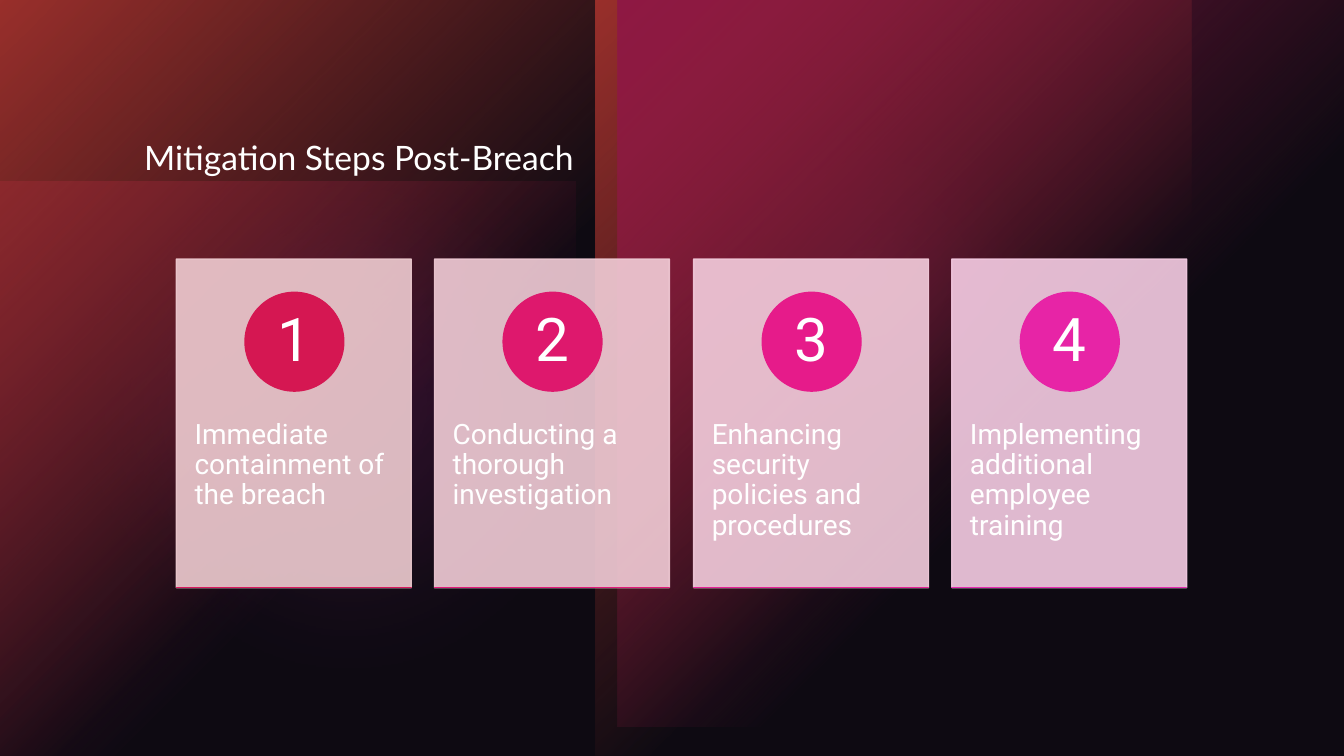
from lxml.etree import SubElement
from pptx import Presentation
from pptx.dml.color import RGBColor
from pptx.enum.shapes import MSO_SHAPE as Shape
from pptx.enum.text import MSO_ANCHOR as Anchor, PP_ALIGN as Align
from pptx.oxml.ns import qn
from pptx.util import Pt

PX = 9144  # 100 px to the inch
COLORS = {
    "black": "000000",
    "white": "FFFFFF",
    "orange": "E73D29",
    "crimson": "D51752",
    "magenta": "E729B3",
    "veil": "241B2F",
}
STEPS = [
    # text, card, circle, base line
    ("Immediate containment of the breach", "EFCCD1", "D51752", "DA185F"),
    ("Conducting a thorough investigation", "F2CDD7", "DE186D", "E3197B"),
    ("Enhancing security policies and procedures", "F4CDDD", "E61B8A", "E62098"),
    ("Implementing additional employee training", "F6CDE4", "E724A6", "E729B3"),
]

deck = Presentation()
deck.slide_width, deck.slide_height = 1333 * PX, 750 * PX
slide = deck.slides.add_slide(deck.slide_layouts[5])
slide.background.fill.solid()
slide.background.fill.fore_color.rgb = RGBColor.from_string(COLORS["black"])


def add_panel(kind, bounds, colors, alphas, outlined=False):
    """Add a shape; two colours make a diagonal fade that ends at 60 %."""
    shape = slide.shapes.add_shape(kind, *[length * PX for length in bounds])
    shape.shadow.inherit = False
    if len(colors) == 1:
        shape.fill.solid()
        shape.fill.fore_color.rgb = RGBColor.from_string(colors[0])
    else:
        shape.fill.gradient()
        shape.fill.gradient_angle = 315
        for stop, color, position in zip(shape.fill.gradient_stops, colors, (0, 0.6)):
            stop.color.rgb = RGBColor.from_string(color)
            stop.position = position
    if outlined:
        shape.line.color.rgb = RGBColor.from_string(colors[0])
        shape.line.width = Pt(1)
        alphas = alphas * 2
    else:
        shape.line.fill.background()
    tones = list(shape._element.spPr.iter(qn("a:srgbClr")))
    for tone, alpha in zip(tones, alphas):
        if alpha < 100:
            SubElement(tone, qn("a:alpha"), val=str(alpha * 1000))
    return shape


def write(frame, text, size, font, align=Align.LEFT):
    frame.word_wrap = True
    para = frame.paragraphs[0]
    para.alignment = align
    para.line_spacing = 0.9
    span = para.add_run()
    span.text = text
    span.font.size = Pt(size)
    span.font.name = font
    span.font.color.rgb = RGBColor.from_string(COLORS["white"])


# Backdrop: fading panels, two soft glows and a dark veil
add_panel(Shape.RECTANGLE, (0, 180, 571, 571), [COLORS["crimson"]] * 2, [60, 0])
for bounds, alpha in (((629, 43, 472, 472), 60), ((0, 56, 694, 694), 20)):
    glow = add_panel(Shape.OVAL, bounds, [COLORS["magenta"]], [alpha])
    effects = glow._element.spPr.find(qn("a:effectLst"))
    SubElement(effects, qn("a:softEdge"), rad="1270000")
for bounds, name in (
    ((0, 0, 591, 750), "orange"),
    ((591, 0, 591, 750), "orange"),
    ((613, 0, 721, 721), "crimson"),
):
    add_panel(Shape.RECTANGLE, bounds, [COLORS[name]] * 2, [100, 0])
add_panel(Shape.RECTANGLE, (0, 0, 1333, 750), [COLORS["veil"]], [40])

# Title, brought in front of the backdrop
title = slide.shapes.title
slide.shapes._spTree.append(title._element)
title.left, title.top, title.width, title.height = 133 * PX, 123 * PX, 1025 * PX, 71 * PX
title.text_frame.vertical_anchor = Anchor.MIDDLE
write(title.text_frame, "Mitigation Steps Post-Breach", 24, "Lato")

# Numbered cards
for index, (text, card_color, circle_color, base_color) in enumerate(STEPS):
    left = 175 + round(index * 769 / 3)
    add_panel(Shape.RECTANGLE, (left, 257, 233, 326), [card_color], [90], outlined=True)

    box = slide.shapes.add_textbox(left * PX, 381 * PX, 233 * PX, 196 * PX)
    frame = box.text_frame
    frame.margin_left = frame.margin_right = 18 * PX
    frame.margin_top = frame.margin_bottom = 36 * PX
    write(frame, text, 20, "Roboto")

    circle = add_panel(Shape.OVAL, (left + 68, 290, 98, 98), [circle_color], [100], outlined=True)
    frame = circle.text_frame
    frame.margin_left = frame.margin_right = 8 * PX
    frame.margin_top = frame.margin_bottom = 1 * PX
    frame.vertical_anchor = Anchor.MIDDLE
    write(frame, str(index + 1), 43, "Roboto", Align.CENTER)

    add_panel(Shape.RECTANGLE, (left, 583, 233, 0), [base_color], [100], outlined=True)

deck.save("out.pptx")
